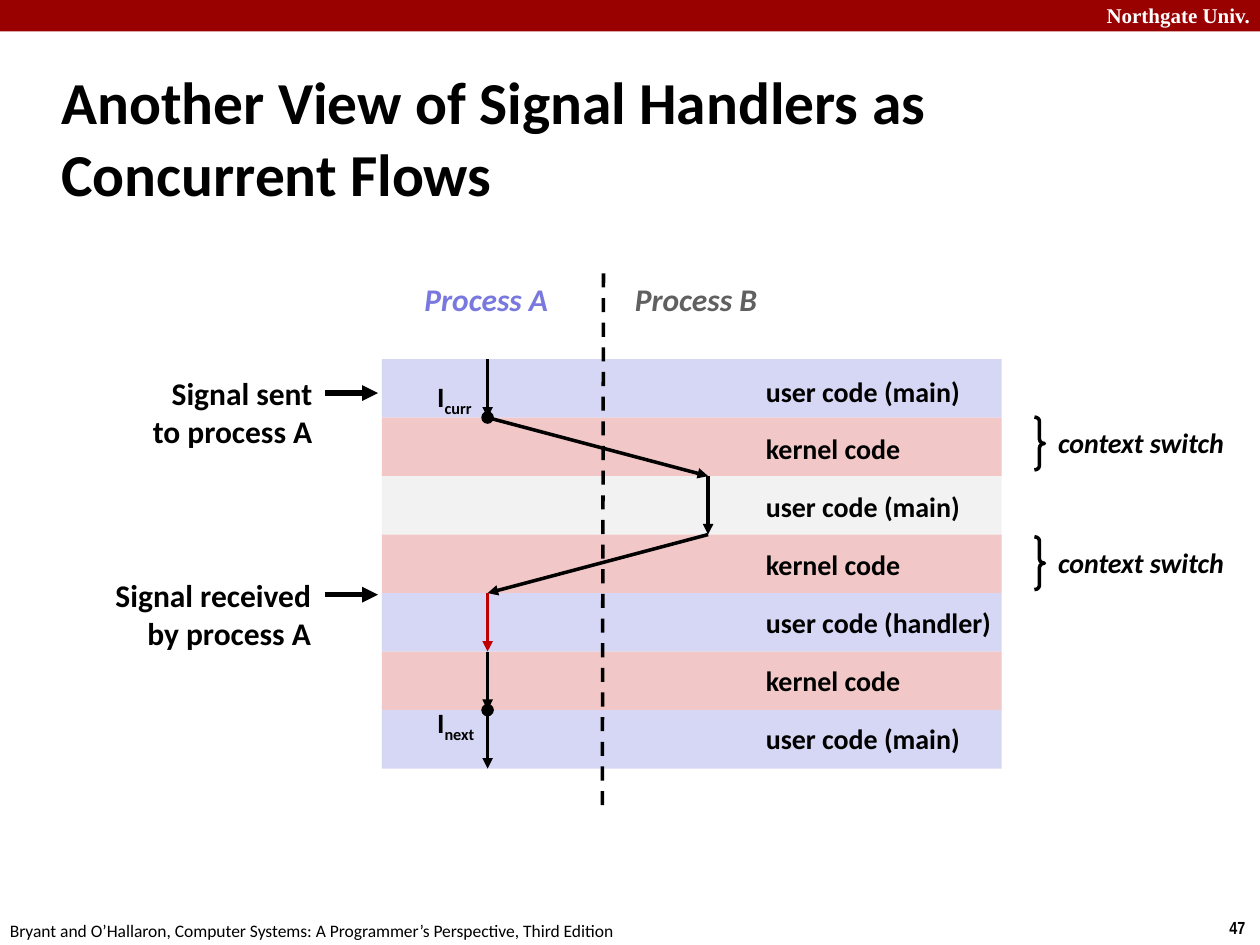
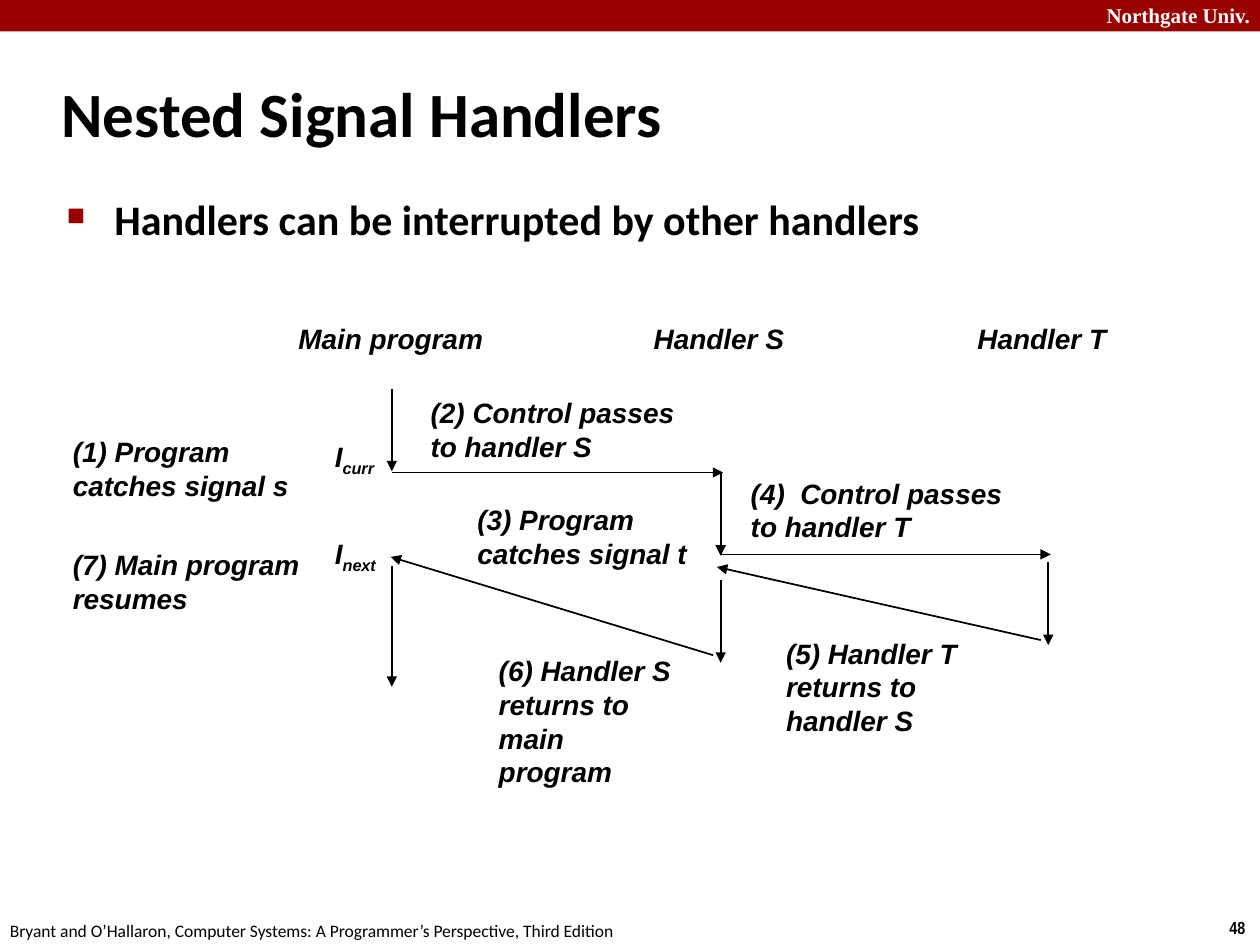
from itertools import pairwise

from lxml.etree import SubElement
from pptx import Presentation
from pptx.dml.color import RGBColor
from pptx.enum.dml import MSO_LINE_DASH_STYLE as Dash
from pptx.enum.shapes import MSO_CONNECTOR as Connector, MSO_SHAPE as Shape
from pptx.enum.text import MSO_ANCHOR as Anchor, PP_ALIGN as Align
from pptx.oxml.ns import qn
from pptx.util import Inches, Pt

BLACK = RGBColor(0x00, 0x00, 0x00)
WHITE = RGBColor(0xFF, 0xFF, 0xFF)
CRIMSON = RGBColor(0x99, 0x00, 0x00)
HANDLER_RED = RGBColor(0xC0, 0x00, 0x00)
KERNEL_PINK = RGBColor(0xF1, 0xC7, 0xC7)
USER_A_BLUE = RGBColor(0xD6, 0xD6, 0xF5)
USER_B_GRAY = RGBColor(0xF2, 0xF2, 0xF2)
PROCESS_A_BLUE = RGBColor(0x78, 0x78, 0xDE)
PROCESS_B_GRAY = RGBColor(0x60, 0x60, 0x60)

FOOTER = ("Bryant and O’Hallaron, Computer Systems: "
          "A Programmer’s Perspective, Third Edition")


def write_text(frame, text, *, size=16, font="Calibri", color=BLACK, bold=True,
               italic=False, align=Align.LEFT, subscript=""):
    """Fill a text frame, one paragraph a line, with an optional subscript."""
    for number, line in enumerate(text.split("\n")):
        paragraph = frame.add_paragraph() if number else frame.paragraphs[0]
        paragraph.alignment = align
        for part in filter(None, (line, subscript)):
            run = paragraph.add_run()
            run.text = part
            run.font.size = Pt(size)
            run.font.name = font
            run.font.bold = bold
            run.font.italic = italic
            run.font.color.rgb = color
            if part == subscript:
                run._r.get_or_add_rPr().set("baseline", "-25000")


class Deck:
    """Holds the shared style and the current slide."""

    def __init__(self):
        self.presentation = Presentation()
        self.presentation.slide_width = Inches(10)
        self.presentation.slide_height = Inches(7.5)
        self.slide = None

    def new_slide(self, number, title, title_top, title_size):
        layout = self.presentation.slide_layouts[6]
        self.slide = self.presentation.slides.add_slide(layout)
        # Top band and footers
        self.shape(Shape.RECTANGLE, 0, 0, 10, 0.25, fill=CRIMSON)
        self.text("Northgate Univ.", 8.59, -0.03, 1.43, 0.3, size=12,
                  font="Times New Roman", color=WHITE, align=Align.RIGHT)
        self.text(str(number), 9.66, 7.23, 0.34, 0.27, size=10,
                  font="Arial Narrow")
        self.text(FOOTER, -0.02, 7.25, 5.08, 0.27, size=10, bold=False)
        # Title
        frame = self.text(title, 0.39, title_top, 8.3, 0.83, wrap=True,
                          size=title_size)
        frame.vertical_anchor = Anchor.MIDDLE

    def text(self, text, left, top, width, height, *, wrap=False, inset=0.1,
             **style):
        box = self.slide.shapes.add_textbox(
            Inches(left), Inches(top), Inches(width), Inches(height))
        frame = box.text_frame
        frame.word_wrap = wrap
        frame.margin_left = frame.margin_right = Inches(inset)
        write_text(frame, text, **style)
        return frame

    def bullet(self, text, left, top, width, height, size=24):
        frame = self.text(text, left, top, width, height, wrap=True, size=size)
        paragraph = frame.paragraphs[0]
        paragraph.space_before = Pt(size * 0.2)
        properties = paragraph._p.get_or_add_pPr()
        properties.set("marL", str(Inches(0.38)))
        properties.set("indent", str(Inches(-0.38)))
        color = SubElement(properties, qn("a:buClr"))
        SubElement(color, qn("a:srgbClr"), val=str(CRIMSON))
        SubElement(properties, qn("a:buSzPct"), val="60000")
        SubElement(properties, qn("a:buChar"), char="■")

    def shape(self, kind, left, top, width, height, fill=None, line_width=0):
        shape = self.slide.shapes.add_shape(
            kind, Inches(left), Inches(top), Inches(width), Inches(height))
        shape.shadow.inherit = False
        if fill is None:
            shape.fill.background()
        else:
            shape.fill.solid()
            shape.fill.fore_color.rgb = fill
        if line_width:
            shape.line.color.rgb = BLACK
            shape.line.width = Pt(line_width)
        else:
            shape.line.fill.background()
        return shape

    def line(self, start, end, *, color=BLACK, width=2, arrow=True, dash=None):
        connector = self.slide.shapes.add_connector(
            Connector.STRAIGHT, *map(Inches, (*start, *end)))
        connector.line.color.rgb = color
        connector.line.width = Pt(width)
        if dash:
            connector.line.dash_style = dash
        if arrow:
            SubElement(connector.line._get_or_add_ln(), qn("a:tailEnd"),
                       type="triangle")
        SubElement(connector._element.spPr, qn("a:effectLst"))


def concurrent_flows(deck):
    deck.new_slide(47, "Another View of Signal Handlers as Concurrent Flows",
                   0.67, 34)
    bands_top, band_height = 2.85, 3.25 / 7
    edges = [bands_top + band_height * number for number in range(8)]

    # Code bands with their labels
    bands = [
        ("user code (main)", USER_A_BLUE),
        ("kernel code", KERNEL_PINK),
        ("user code (main)", USER_B_GRAY),
        ("kernel code", KERNEL_PINK),
        ("user code (handler)", USER_A_BLUE),
        ("kernel code", KERNEL_PINK),
        ("user code (main)", USER_A_BLUE),
    ]
    label_widths = {"user code (main)": 1.76, "kernel code": 1.28,
                    "user code (handler)": 2.02}
    for number, (label, fill) in enumerate(bands):
        deck.shape(Shape.RECTANGLE, 3.03, edges[number], 4.92, band_height,
                   fill=fill)
        deck.text(label, 5.98, 2.92 + 0.46 * number, label_widths[label], 0.37)

    # Process headings and divider
    for name, left, color in (("Process A", 3.27, PROCESS_A_BLUE),
                              ("Process B", 4.94, PROCESS_B_GRAY)):
        deck.text(name, left, 2.17, 1.2, 0.4, size=18, color=color, italic=True)
    deck.line((4.79, 2.17), (4.78, 6.47), arrow=False, dash=Dash.DASH)

    # Signal events
    for event, left, top, width in (
            ("Signal sent\nto process A", 1.15, 2.92, 1.38),
            ("Signal received\nby process A", 0.85, 4.52, 1.67)):
        deck.text(event, left, top, width, 0.71, inset=0.05, size=18,
                  align=Align.RIGHT)
        deck.line((2.58, top + 0.2), (3, top + 0.2), width=3)

    # Context switches
    for top in (3.31, 4.26):
        brace = deck.shape(Shape.RIGHT_BRACE, 8.21, top, 0.08, 0.42,
                           line_width=2)
        brace.adjustments[0] = 0.42
        deck.text("context switch", 8.3, top + 0.02, 1.54, 0.37, italic=True)

    # Control flow through the bands
    process_a, process_b = 3.87, 5.62
    stops = [process_a] * 2 + [process_b] * 2 + [process_a] * 4
    for number, (start, end) in enumerate(pairwise(zip(stops, edges))):
        in_handler = bands[number][0] == "user code (handler)"
        deck.line(start, end, color=HANDLER_RED if in_handler else BLACK)

    # Interrupted and next instruction
    for name, top, width, edge in (("curr", 2.96, 0.41, edges[1]),
                                   ("next", 5.55, 0.44, edges[6])):
        deck.text("I", 3.42, top, width, 0.37, inset=0.05, subscript=name)
        deck.shape(Shape.OVAL, process_a - 0.05, edge - 0.05, 0.1, 0.1,
                   fill=BLACK)


def nested_handlers(deck):
    deck.new_slide(48, "Nested Signal Handlers", 0.48, 36)
    deck.bullet("Handlers can be interrupted by other handlers",
                0.43, 1.49, 8.64, 0.68)
    diagram_style = {"font": "Arial", "italic": True}

    # Column headings
    for heading, left, width in (("Main program", 2.27, 1.74),
                                 ("Handler S", 5.09, 1.34),
                                 ("Handler T", 7.66, 1.34)):
        deck.text(heading, left, 2.5, width, 0.37, **diagram_style)

    # Numbered steps
    for step, left, top, width, height in (
            ("(1) Program catches signal s", 0.48, 3.4, 2.1, 0.64),
            ("(2) Control passes to handler S", 3.32, 3.09, 2.24, 0.64),
            ("(3) Program catches signal t", 3.69, 3.94, 2.03, 0.64),
            ("(4)  Control passes to handler T", 5.86, 3.73, 2.31, 0.64),
            ("(5) Handler T\nreturns to handler S", 6.14, 5, 1.62, 0.91),
            ("(6) Handler S\nreturns to main program", 3.86, 5.14, 1.62, 1.18),
            ("(7) Main program resumes", 0.48, 4.3, 2.1, 0.64)):
        deck.text(step, left, top, width, height, wrap=True, **diagram_style)

    # Interrupted and next instruction
    for name, top in (("curr", 3.44), ("next", 4.21)):
        deck.text("I", 2.56, top, 0.6, 0.37, subscript=name, **diagram_style)

    # Control flow between the columns
    main_x, handler_s_x, handler_t_x = 3.11, 5.72, 8.32
    for start, end in (
            ((main_x, 3.09), (main_x, 3.74)),
            ((main_x, 3.75), (5.74, 3.75)),
            ((handler_s_x, 3.75), (handler_s_x, 4.41)),
            ((handler_s_x, 4.4), (8.34, 4.4)),
            ((handler_t_x, 4.46), (handler_t_x, 5.12)),
            ((8.26, 5.08), (5.69, 4.5)),
            ((handler_s_x, 4.6), (handler_s_x, 5.26)),
            ((5.66, 5.2), (3.1, 4.42)),
            ((main_x, 4.49), (main_x, 5.45))):
        deck.line(start, end, width=1)


def main():
    deck = Deck()
    concurrent_flows(deck)
    nested_handlers(deck)
    deck.presentation.save("out.pptx")


if __name__ == "__main__":
    main()
